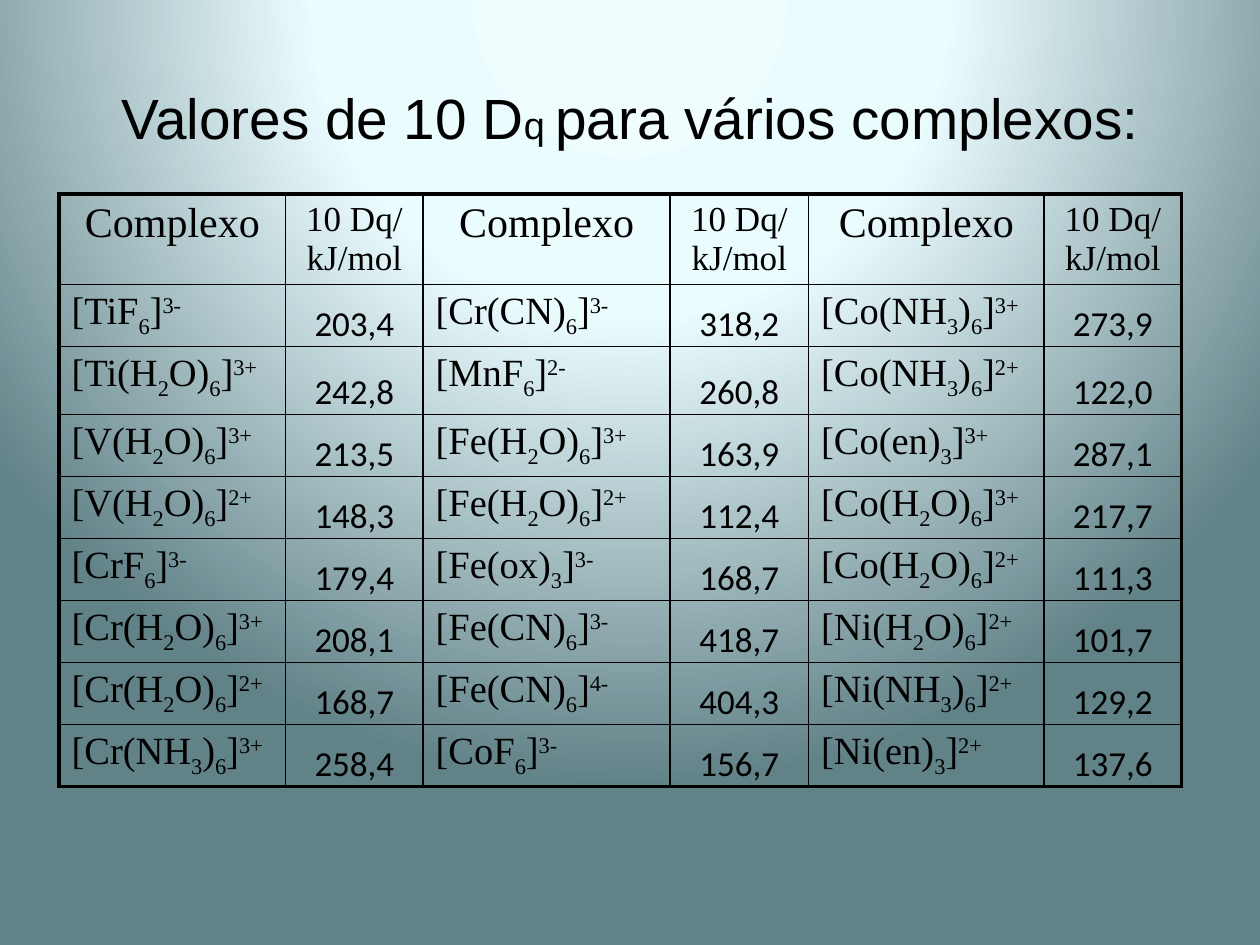
from itertools import groupby

from pptx import Presentation
from pptx import util as u
from pptx.dml.color import RGBColor
from pptx.enum import text
from pptx.oxml import parse_xml
from pptx.oxml.ns import nsdecls

BLACK = RGBColor(0x00, 0x00, 0x00)
ICE = RGBColor(0xEF, 0xFD, 0xFF)
PALE = RGBColor(0xEB, 0xFC, 0xFF)
TEAL = RGBColor(0x61, 0x82, 0x87)
GRADIENT_STOPS = [(0, ICE), (40, PALE), (100, TEAL)]

SERIF, SANS, TITLE_FONT = "Times New Roman", "Calibri", "Arial"
TITLE_RUNS = [("Valores de 10 D", 32.4), ("q ", 21.6), ("para vários complexos:", 32.4)]
SUBSCRIPT, SUPERSCRIPT = -25000, 30000
THIN, THICK = 1, 2.25

COLUMN_WIDTHS = [4.57, 2.77, 4.98, 2.79, 4.75, 2.77]
ROW_HEIGHTS = [1.25, 1.25, 1.37] + [1.25] * 6
TABLE_FRAME = {"left": 1.19, "top": 3.91, "width": 22.63, "height": 12.09}
TITLE_FRAME = {"left": 1.27, "top": 0.76, "width": 22.86, "height": 3.18}
VALUE_MARGINS = {"margin_left": 0.03, "margin_top": 0.03, "margin_right": 0.03, "margin_bottom": 0}

HEADERS = ["Complexo", "10 Dq/ kJ/mol"] * 3
ROWS = [
    ["[TiF6]3-", "203,4", "[Cr(CN)6]3-", "318,2", "[Co(NH3)6]3+", "273,9"],
    ["[Ti(H2O)6]3+", "242,8", "[MnF6]2-", "260,8", "[Co(NH3)6]2+", "122,0"],
    ["[V(H2O)6]3+", "213,5", "[Fe(H2O)6]3+", "163,9", "[Co(en)3]3+", "287,1"],
    ["[V(H2O)6]2+", "148,3", "[Fe(H2O)6]2+", "112,4", "[Co(H2O)6]3+", "217,7"],
    ["[CrF6]3-", "179,4", "[Fe(ox)3]3-", "168,7", "[Co(H2O)6]2+", "111,3"],
    ["[Cr(H2O)6]3+", "208,1", "[Fe(CN)6]3-", "418,7", "[Ni(H2O)6]2+", "101,7"],
    ["[Cr(H2O)6]2+", "168,7", "[Fe(CN)6]4-", "404,3", "[Ni(NH3)6]2+", "129,2"],
    ["[Cr(NH3)6]3+", "258,4", "[CoF6]3-", "156,7", "[Ni(en)3]2+", "137,6"],
]


def set_lengths(target, lengths):
    """Set each named length, given in centimetres, on the target."""
    for name, value in lengths.items():
        setattr(target, name, u.Cm(value))


def add_run(paragraph, content, font, size, baseline=0):
    """Add a black run, optionally raised or lowered."""
    run = paragraph.add_run()
    run.text = content
    for name, value in {"name": font, "size": u.Pt(size)}.items():
        setattr(run.font, name, value)
    run.font.color.rgb = BLACK
    if baseline:
        run.font._element.set("baseline", str(baseline))


def set_background(slide):
    """Fill the slide with a radial gradient centred above it."""
    stops = "".join(
        f'<a:gs pos="{position * 1000}"><a:srgbClr val="{color}"/></a:gs>'
        for position, color in GRADIENT_STOPS
    )
    slide._element.cSld.insert(0, parse_xml(
        f'<p:bg {nsdecls("p", "a")}><p:bgPr><a:gradFill rotWithShape="1"><a:gsLst>{stops}</a:gsLst>'
        '<a:path path="circle"><a:fillToRect l="50000" t="-80000" r="50000" b="180000"/></a:path>'
        "</a:gradFill><a:effectLst/></p:bgPr></p:bg>"
    ))


def add_title(slide):
    """Write the title in the title placeholder."""
    title = slide.shapes.title
    set_lengths(title, TITLE_FRAME)
    frame = title.text_frame
    options = {
        "auto_size": text.MSO_AUTO_SIZE.NONE,
        "vertical_anchor": text.MSO_ANCHOR.MIDDLE,
        "word_wrap": True,
    }
    for name, value in options.items():
        setattr(frame, name, value)
    paragraph = frame.paragraphs[0]
    paragraph.alignment = text.PP_ALIGN.CENTER
    for content, size in TITLE_RUNS:
        add_run(paragraph, content, TITLE_FONT, size)


def set_borders(cell, widths):
    """Draw the left, right, top and bottom cell borders."""
    properties = cell._tc.get_or_add_tcPr()
    for side, width in zip("LRTB", widths):
        properties.append(parse_xml(
            f'<a:ln{side} {nsdecls("a")} w="{u.Pt(width)}"><a:solidFill>'
            f'<a:srgbClr val="{BLACK}"/></a:solidFill></a:ln{side}>'
        ))


def set_space_before(paragraph):
    """Put a fifth of a line before the paragraph."""
    paragraph._p.get_or_add_pPr().append(parse_xml(
        f'<a:spcBef {nsdecls("a")}><a:spcPct val="20000"/></a:spcBef>'
    ))


def write_header(cell, content):
    """Write a centred column heading."""
    paragraph = cell.text_frame.paragraphs[0]
    paragraph.alignment = text.PP_ALIGN.CENTER
    set_space_before(paragraph)
    add_run(paragraph, content, SERIF, 24 if content == "Complexo" else 20)


def write_formula(cell, formula):
    """Write a complex with lowered counts and a raised charge."""
    paragraph = cell.text_frame.paragraphs[0]
    set_space_before(paragraph)
    body, charge = formula.split("]")
    for is_count, letters in groupby(body, str.isdigit):
        add_run(paragraph, "".join(letters), SERIF, 22, SUBSCRIPT if is_count else 0)
    add_run(paragraph, "]", SERIF, 22)
    add_run(paragraph, charge, SERIF, 22, SUPERSCRIPT)


def write_value(cell, value):
    """Write a centred value at the foot of its cell."""
    set_lengths(cell, VALUE_MARGINS)
    cell.vertical_anchor = text.MSO_ANCHOR.BOTTOM
    paragraph = cell.text_frame.paragraphs[0]
    paragraph.alignment = text.PP_ALIGN.CENTER
    add_run(paragraph, value, SANS, 20)


def add_complex_table(slide):
    """Add the table of complexes and their field splitting values."""
    contents = [HEADERS] + ROWS
    last_row, last_column = len(contents) - 1, len(HEADERS) - 1
    frame = slide.shapes.add_table(
        len(contents), len(HEADERS), *(u.Cm(value) for value in TABLE_FRAME.values())
    )
    table = frame.table
    table.first_row = table.horz_banding = False
    for column, width in zip(table.columns, COLUMN_WIDTHS):
        column.width = u.Cm(width)
    for row, height in zip(table.rows, ROW_HEIGHTS):
        row.height = u.Cm(height)
    set_lengths(frame, TABLE_FRAME)
    for i, row in enumerate(contents):
        for j, content in enumerate(row):
            cell = table.cell(i, j)
            outer = (j == 0, j == last_column, i == 0, i == last_row)
            set_borders(cell, [THICK if edge else THIN for edge in outer])
            cell.fill.background()
            write = write_header if i == 0 else (write_formula, write_value)[j % 2]
            write(cell, content)


def main():
    """Build and save the slide."""
    presentation = Presentation()
    set_lengths(presentation, {"slide_width": 25.4, "slide_height": 19.05})
    slide = presentation.slides.add_slide(presentation.slide_layouts.get_by_name("Title Only"))
    set_background(slide)
    add_title(slide)
    add_complex_table(slide)
    presentation.save("out.pptx")


if __name__ == "__main__":
    main()
